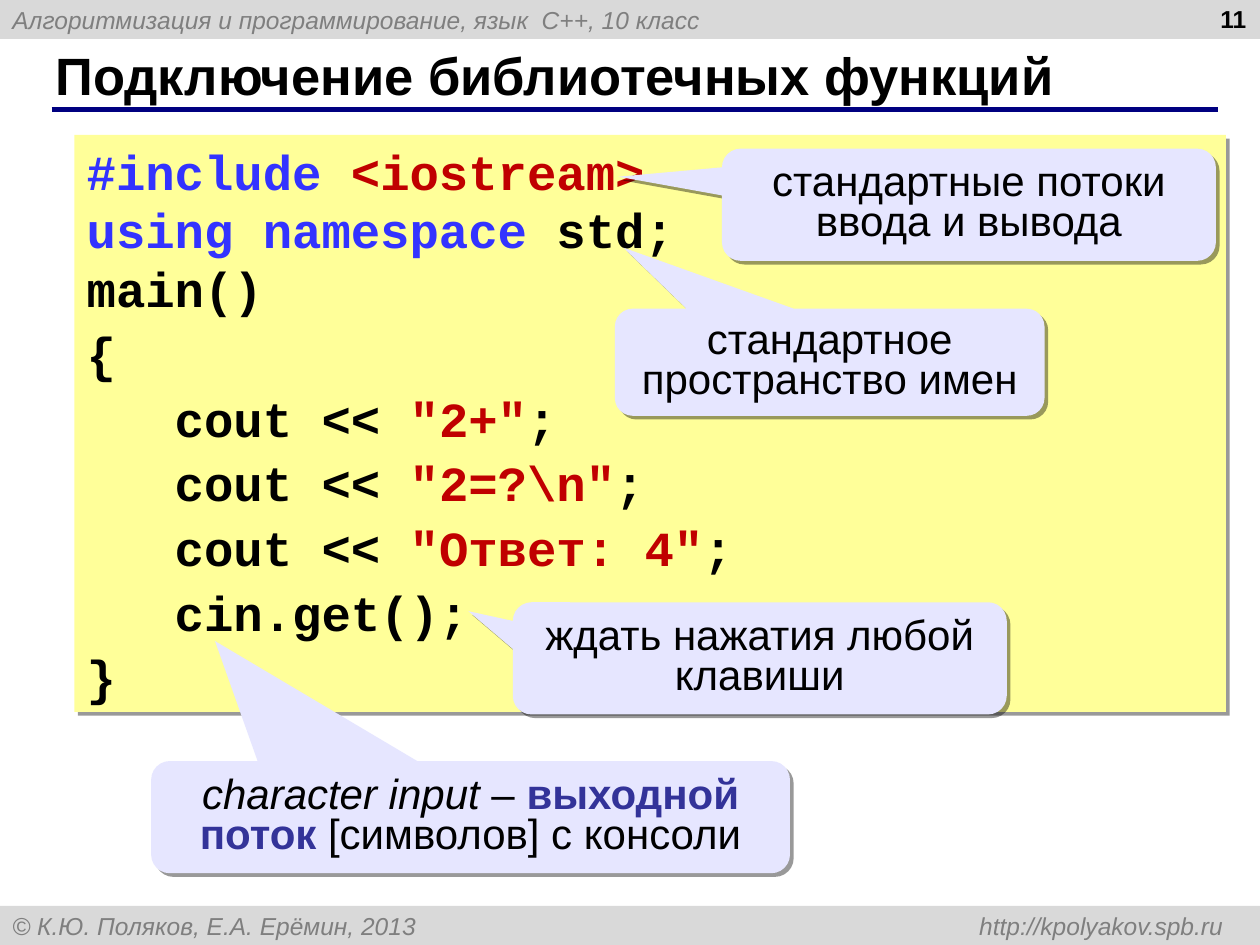
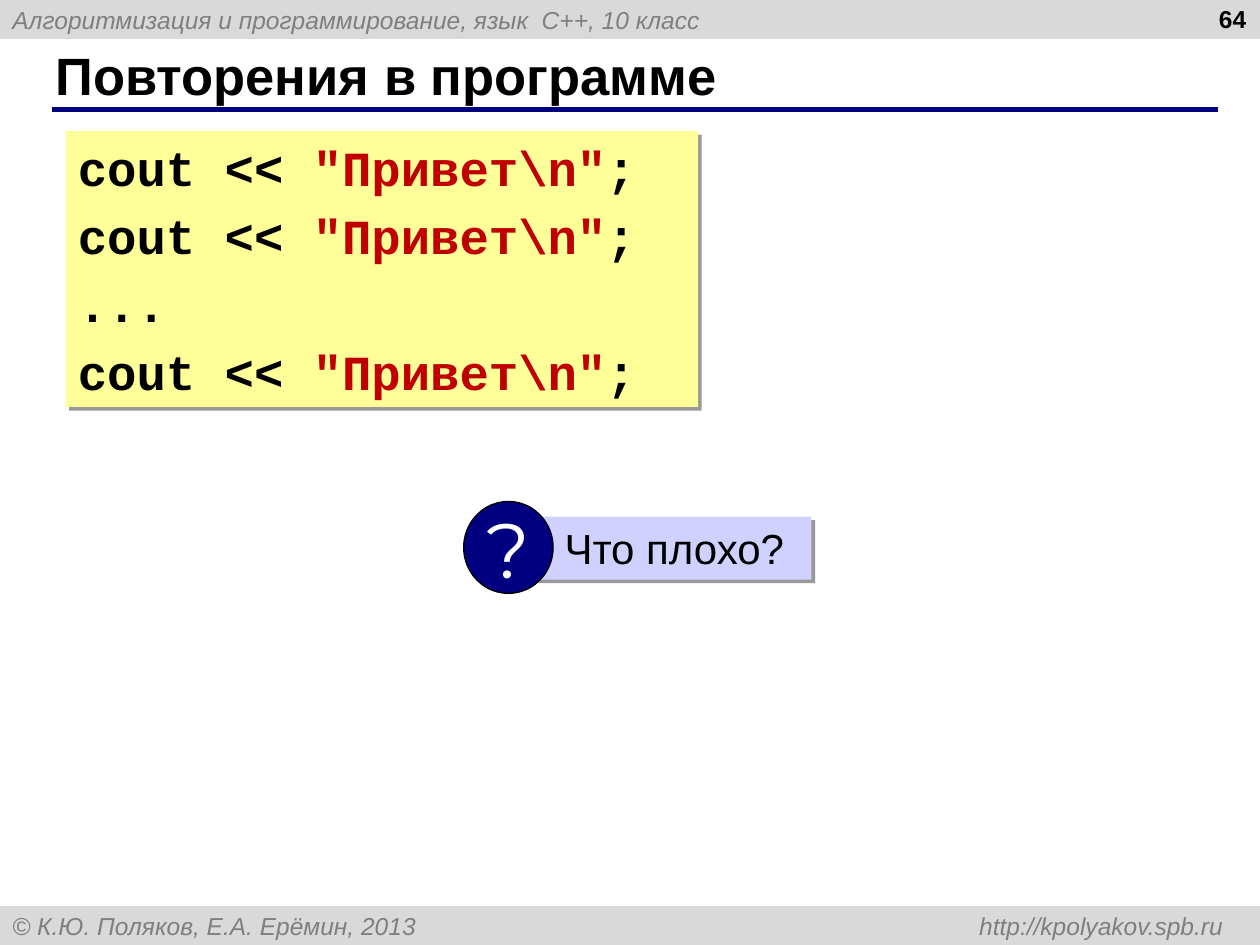
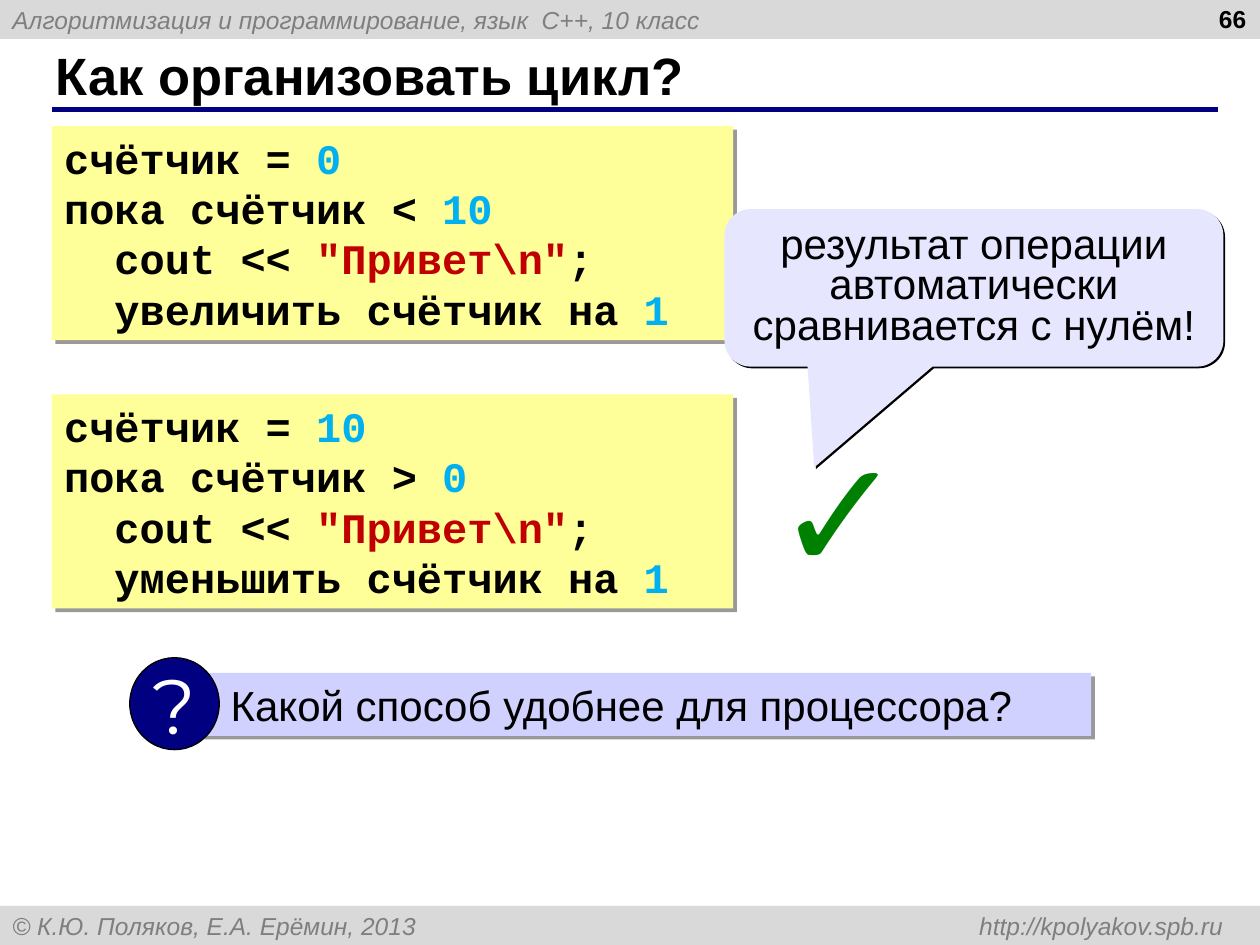
"""Build three lesson slides about C++ library functions and loops."""
from dataclasses import dataclass

from lxml import etree
from pptx import Presentation
from pptx.dml.color import RGBColor
from pptx.enum.shapes import MSO_CONNECTOR, MSO_SHAPE
from pptx.enum.text import MSO_ANCHOR, MSO_AUTO_SIZE, PP_ALIGN
from pptx.oxml.ns import qn
from pptx.util import Inches, Pt

RECTANGLE = MSO_SHAPE.RECTANGLE
OVAL = MSO_SHAPE.OVAL
CALLOUT = MSO_SHAPE.ROUNDED_RECTANGULAR_CALLOUT
STRAIGHT = MSO_CONNECTOR.STRAIGHT
TOP, MIDDLE = MSO_ANCHOR.TOP, MSO_ANCHOR.MIDDLE
LEFT, CENTER, RIGHT = PP_ALIGN.LEFT, PP_ALIGN.CENTER, PP_ALIGN.RIGHT
NO_AUTOFIT = MSO_AUTO_SIZE.NONE
TITLE_ONLY = 5


@dataclass(frozen=True)
class Theme:
    ink: str = "000000"
    navy: str = "000080"
    band: str = "D9D9D9"
    band_text: str = "7F7F7F"
    code_fill: str = "FFFF99"
    callout_fill: str = "E6E6FF"
    question_fill: str = "D1D1FF"
    white: str = "FFFFFF"
    keyword: str = "3333FF"
    literal: str = "C00000"
    number: str = "00B0F0"
    term: str = "333399"
    tick: str = "008000"
    text_font: str = "Arial"
    code_font: str = "Courier New"
    mark_font: str = "Montserrat"
    title_size: int = 30
    code_size: int = 28
    body_size: int = 24
    band_size: int = 14
    mark_size: int = 44
    tick_size: int = 88


THEME = Theme()
HEADER = "Алгоритмизация и программирование, язык  C++, 10 класс"
FOOTER = "© К.Ю. Поляков, Е.А. Ерёмин, 2013\thttp://kpolyakov.spb.ru"


@dataclass(frozen=True)
class Span:
    text: str
    colour: str = THEME.ink
    bold: bool = False
    italic: bool = False


class Lesson:
    def __init__(self, theme):
        self.theme = theme
        self.deck = Presentation()
        self.deck.slide_width, self.deck.slide_height = Inches(10), Inches(7.5)
        self.page = None

    def fill_text(self, box, lines, size, font=None, align=LEFT, anchor=MIDDLE, wrap=True):
        frame = box.text_frame
        frame.word_wrap, frame.auto_size = wrap, NO_AUTOFIT
        frame.vertical_anchor = anchor
        for index, line in enumerate(lines):
            para = frame.add_paragraph() if index else frame.paragraphs[0]
            para.alignment = align
            for span in line:
                run = para.add_run()
                run.text = span.text
                run.font.name, run.font.size = font or self.theme.text_font, Pt(size)
                run.font.bold, run.font.italic = span.bold, span.italic
                run.font.color.rgb = RGBColor.from_string(span.colour)
        return box

    def shape(self, kind, area, fill, shapes=None):
        shapes = self.page.shapes if shapes is None else shapes
        box = shapes.add_shape(kind, *map(Inches, area))
        box.shadow.inherit = False
        box.fill.solid()
        box.fill.fore_color.rgb = RGBColor.from_string(fill)
        box.line.fill.background()
        return box

    def cast_shadow(self, box, distance=3, opacity=40):
        effects = box._element.spPr.find(qn("a:effectLst"))
        shadow = etree.SubElement(effects, qn("a:outerShdw"), dist=str(Pt(distance)),
                                  dir=str(45 * 60000), algn="ctr", rotWithShape="0")
        colour = etree.SubElement(shadow, qn("a:srgbClr"), val=self.theme.ink)
        etree.SubElement(colour, qn("a:alpha"), val=str(opacity * 1000))

    def band(self, top, text):
        box = self.shape(RECTANGLE, (0, top, 10, 0.31), self.theme.band)
        span = Span(text, self.theme.band_text, italic=True)
        return self.fill_text(box, [[span]], self.theme.band_size)

    def label(self, area, span, size, **options):
        box = self.page.shapes.add_textbox(*map(Inches, area))
        return self.fill_text(box, [[span]], size, anchor=TOP, **options)

    def start(self, title, number):
        self.page = self.deck.slides.add_slide(self.deck.slide_layouts[TITLE_ONLY])
        self.band(0, HEADER)
        footer = self.band(7.19, FOOTER)
        properties = footer.text_frame.paragraphs[0]._p.get_or_add_pPr()
        tabs = etree.SubElement(properties, qn("a:tabLst"))
        etree.SubElement(tabs, qn("a:tab"), pos=str(Inches(9.61)), algn="r")
        rule = self.page.shapes.add_connector(
            STRAIGHT, *map(Inches, (0.41, 0.87, 9.67, 0.87)))
        rule.line.color.rgb = RGBColor.from_string(self.theme.navy)
        rule.line.width = Pt(3)
        etree.SubElement(rule._element.spPr, qn("a:effectLst"))
        heading = self.page.shapes.title
        heading.left, heading.top, heading.width, heading.height = map(
            Inches, (0.34, 0.33, 9.16, 0.52))
        self.fill_text(heading, [[Span(title, bold=True)]], self.theme.title_size)
        self.label((7.66, -0.02, 2.33, 0.52), Span(str(number), bold=True),
                   self.theme.band_size, align=RIGHT)

    def code(self, area, lines, size):
        box = self.shape(RECTANGLE, area, self.theme.code_fill)
        self.cast_shadow(box)
        return self.fill_text(box, lines, size, self.theme.code_font, anchor=TOP)

    def callout(self, area, tip, spans, **shadow):
        box = self.shape(CALLOUT, area, self.theme.callout_fill)
        box.adjustments[0], box.adjustments[1] = tip
        self.cast_shadow(box, **shadow)
        self.fill_text(box, [spans], self.theme.body_size, align=CENTER)
        box.text_frame.paragraphs[0].line_spacing = 0.8

    def question(self, left, top, width, text):
        shapes = self.page.shapes.add_group_shape().shapes
        bar = self.shape(RECTANGLE, (left + 0.51, top + 0.12, width, 0.5),
                         self.theme.question_fill, shapes)
        self.cast_shadow(bar)
        self.fill_text(bar, [[Span(text)]], self.theme.body_size, anchor=TOP)
        bar.text_frame.margin_left = Inches(0.29)
        badge = self.shape(OVAL, (left, top, 0.71, 0.73), self.theme.navy, shapes)
        badge.line.color.rgb = RGBColor.from_string(self.theme.ink)
        badge.line.width = Pt(0.75)
        self.fill_text(badge, [[Span("?", self.theme.white)]], self.theme.mark_size,
                       self.theme.mark_font, CENTER, wrap=False)


def code_span(text, colour=THEME.ink):
    return Span(text, colour, bold=True)


def print_line(literal, indent=""):
    return [code_span(indent + "cout << "), code_span(f'"{literal}"', THEME.literal),
            code_span(";")]


def counter_loop(start, condition, limit, step):
    def numbered(text, value):
        return [code_span(text), code_span(value, THEME.number)]

    return [numbered("счётчик = ", start),
            numbered(f"пока счётчик {condition} ", limit),
            print_line("Привет\\n", "  "),
            numbered(f"  {step} счётчик на ", "1")]


def library_slide(lesson):
    lesson.start("Подключение библиотечных функций", 11)
    indent = "   "
    program = [
        [code_span("#include ", THEME.keyword), code_span("<iostream>", THEME.literal)],
        [code_span("using namespace", THEME.keyword), code_span(" std;")],
        [code_span("main()")],
        [code_span("{")],
        *[print_line(text, indent) for text in ("2+", "2=?\\n", "Ответ: 4")],
        [code_span(indent + "cin.get();")],
        [code_span("}")],
    ]
    listing = lesson.code((0.59, 1.07, 9.14, 4.58), program, THEME.code_size)
    for para in listing.text_frame.paragraphs[3:]:
        para.line_spacing = 1.1
    lesson.callout((5.73, 1.18, 3.92, 0.89), (-0.71, -0.25),
                   [Span("стандартные потоки ввода и вывода")])
    lesson.callout((4.07, 4.78, 3.92, 0.89), (-0.59, -0.42),
                   [Span("ждать нажатия любой клавиши")])
    lesson.callout((4.88, 2.45, 3.41, 0.85), (-0.48, -1.07),
                   [Span("стандартное пространство имен")])
    lesson.callout((1.2, 6.04, 5.07, 0.89), (-0.4, -1.57),
                   [Span("character input", italic=True), Span(" – "),
                    Span("выходной поток ", THEME.term, bold=True),
                    Span("[символов] c консоли")])


def repetition_slide(lesson):
    lesson.start("Повторения в программе", 64)
    greeting = print_line("Привет\\n")
    listing = lesson.code((0.52, 1.04, 5.02, 2.19),
                          [greeting, greeting, [code_span("...")], greeting],
                          THEME.code_size)
    for para in listing.text_frame.paragraphs[1:]:
        para.space_before = Pt(5.2)
    lesson.question(3.68, 3.98, 2.25, "Что плохо?")


def loop_slide(lesson):
    lesson.start("Как организовать цикл?", 66)
    loops = [counter_loop("0", "<", "10", "увеличить"),
             counter_loop("10", ">", "0", "уменьшить")]
    for index, loop in enumerate(loops):
        lesson.code((0.41, 1 + 2.13 * index, 5.41, 1.7), loop, THEME.body_size)
    lesson.question(1.03, 5.22, 7.12, "Какой способ удобнее для процессора?")
    lesson.label((6.06, 3.26, 1.21, 1.57), Span("✓", THEME.tick, bold=True),
                 THEME.tick_size, wrap=False)
    lesson.callout((5.75, 1.66, 3.96, 1.25), (-0.32, 1.14),
                   [Span("результат операции автоматически сравнивается с нулём!")],
                   distance=1.4, opacity=100)


def main():
    lesson = Lesson(THEME)
    library_slide(lesson)
    repetition_slide(lesson)
    loop_slide(lesson)
    lesson.deck.save("out.pptx")


if __name__ == "__main__":
    main()
